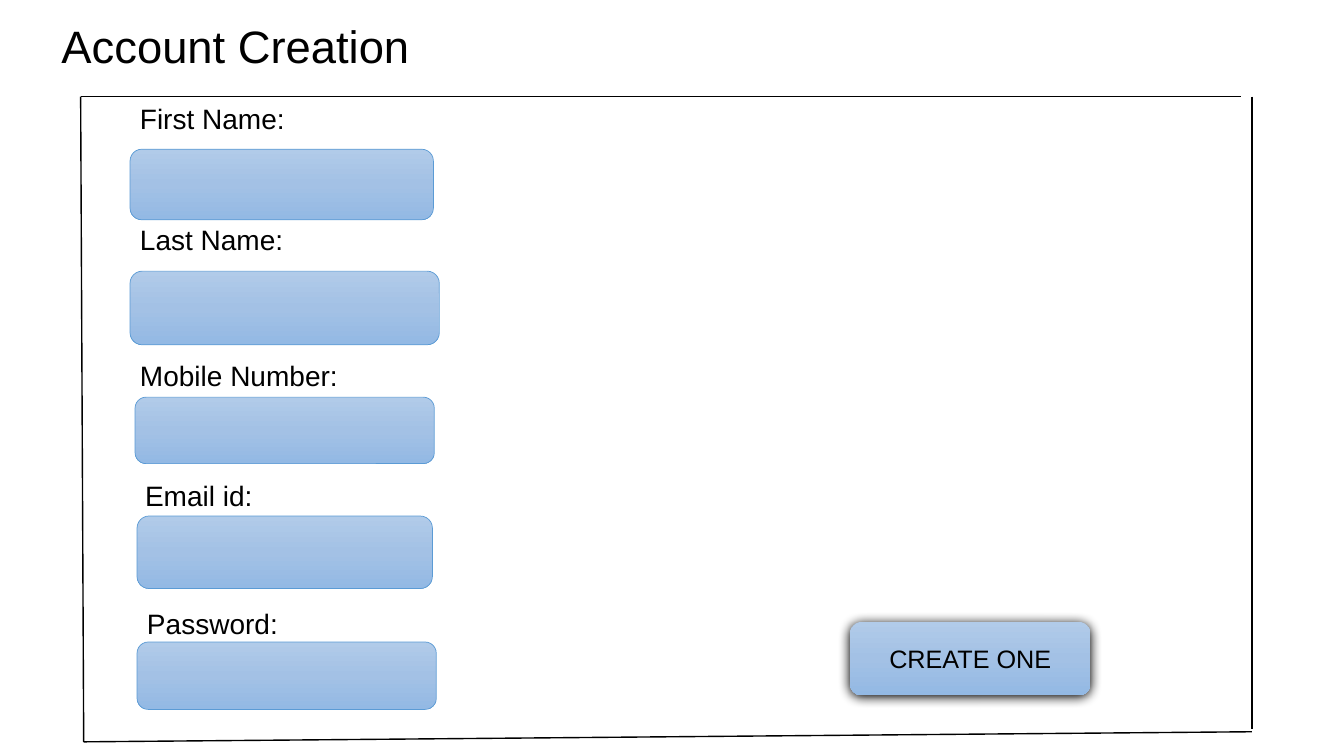
"""Build the account creation form slide."""
from copy import deepcopy
from lxml import etree
from pptx import Presentation
from pptx.dml.color import RGBColor
from pptx.enum.shapes import MSO_CONNECTOR, MSO_SHAPE
from pptx.enum.text import MSO_ANCHOR, MSO_AUTO_SIZE, PP_ALIGN
from pptx.oxml.ns import qn
from pptx.util import Pt

ROUND = MSO_SHAPE.ROUNDED_RECTANGLE
LINE = MSO_CONNECTOR.STRAIGHT
MIDDLE = MSO_ANCHOR.MIDDLE
GROW, FIXED = MSO_AUTO_SIZE.SHAPE_TO_FIT_TEXT, MSO_AUTO_SIZE.NONE
LEFT, CENTER = PP_ALIGN.LEFT, PP_ALIGN.CENTER
BLACK, EDGE = "000000", "5B9BD5"
SHADES = ["B1CBE9", "A3C1E5", "93B9E4"]


def write(frame, text, size, align=LEFT):
    frame.text = text
    frame.word_wrap = True
    para = frame.paragraphs[0]
    para.alignment = align
    font = para.runs[0].font
    font.name = "Arial"
    font.size = Pt(size)
    font.color.rgb = RGBColor.from_string(BLACK)


def add_box(left, top, width, height):
    box = slide.shapes.add_shape(ROUND, Pt(left), Pt(top), Pt(width), Pt(height))
    box.shadow.inherit = False
    box.fill.gradient()
    box.fill.gradient_angle = 270
    stops = box.element.spPr.find(".//" + qn("a:gsLst"))
    stops.insert(1, deepcopy(stops[0]))
    for stop, shade, place in zip(box.fill.gradient_stops, SHADES, (0, 0.5, 1)):
        stop.color.rgb = RGBColor.from_string(shade)
        stop.position = place
    return box


deck = Presentation()
deck.slide_width, deck.slide_height = Pt(960), Pt(540)
slide = deck.slides.add_slide(deck.slide_layouts[5])

title = slide.shapes.title
title.left, title.top, title.width, title.height = Pt(36.7), Pt(13.7), Pt(856.8), Pt(42.5)
write(title.text_frame, "Account Creation", 32.4)
title.text_frame.auto_size = FIXED
title.text_frame.vertical_anchor = MIDDLE
title.text_frame.paragraphs[0].line_spacing = 0.9

fields = [
    ("First Name:", 92.9, 69.1, 163.4, 106.6, 216.7, 50.4),
    ("Last Name:", 92.9, 155.5, 149, 193.7, 221, 52.6),
    ("Mobile Number:", 92.9, 252.7, 201.6, 283.7, 213.8, 47.5),
    ("Email id:", 96.5, 338.4, 145.4, 368.6, 211, 51.8),
    ("Password:", 97.9, 429.8, 157.7, 458.6, 213.8, 48.2),
]
lefts = [92.9, 92.9, 96.5, 97.9, 97.9]
for left, (text, start, head, span, top, width, height) in zip(lefts, fields):
    box = add_box(left, top, width, height)
    box.line.color.rgb = RGBColor.from_string(EDGE)
    box.line.width = Pt(0.5)
    label = slide.shapes.add_textbox(Pt(start), Pt(head), Pt(span), Pt(31.5))
    write(label.text_frame, text, 20)
    label.text_frame.auto_size = GROW

button = add_box(607, 444.2, 172.1, 52.6)
button.line.fill.background()
write(button.text_frame, "CREATE ONE", 18, CENTER)
button.text_frame.vertical_anchor = MIDDLE
effects = button.element.spPr.find(qn("a:effectLst"))
shadow = etree.SubElement(effects, qn("a:outerShdw"), blurRad=str(Pt(8.5)),
                          dist=str(Pt(1)), dir="5400000", algn="ctr", rotWithShape="0")
etree.SubElement(shadow, qn("a:srgbClr"), val=BLACK)

edges = [
    (57.6, 69.1, 59.8, 529.9),
    (57.6, 69.1, 886.3, 69.1),
    (894.2, 69.1, 894.2, 520.6),
    (59.8, 529.9, 894.2, 522.7),
]
for ends in edges:
    edge = slide.shapes.add_connector(LINE, *[Pt(end) for end in ends])
    edge.line.color.rgb = RGBColor.from_string(BLACK)
    edge.line.width = Pt(1)
    etree.SubElement(edge.element.spPr, qn("a:effectLst"))

deck.save("out.pptx")
